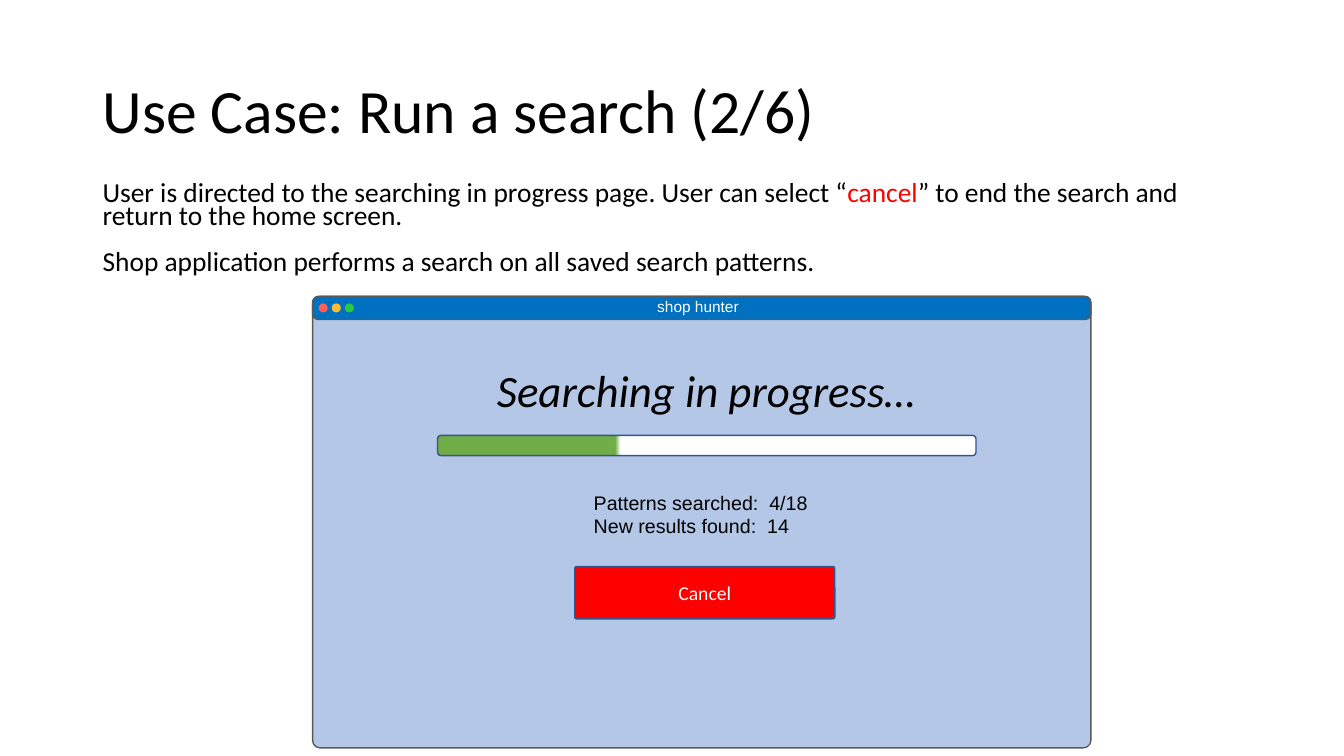
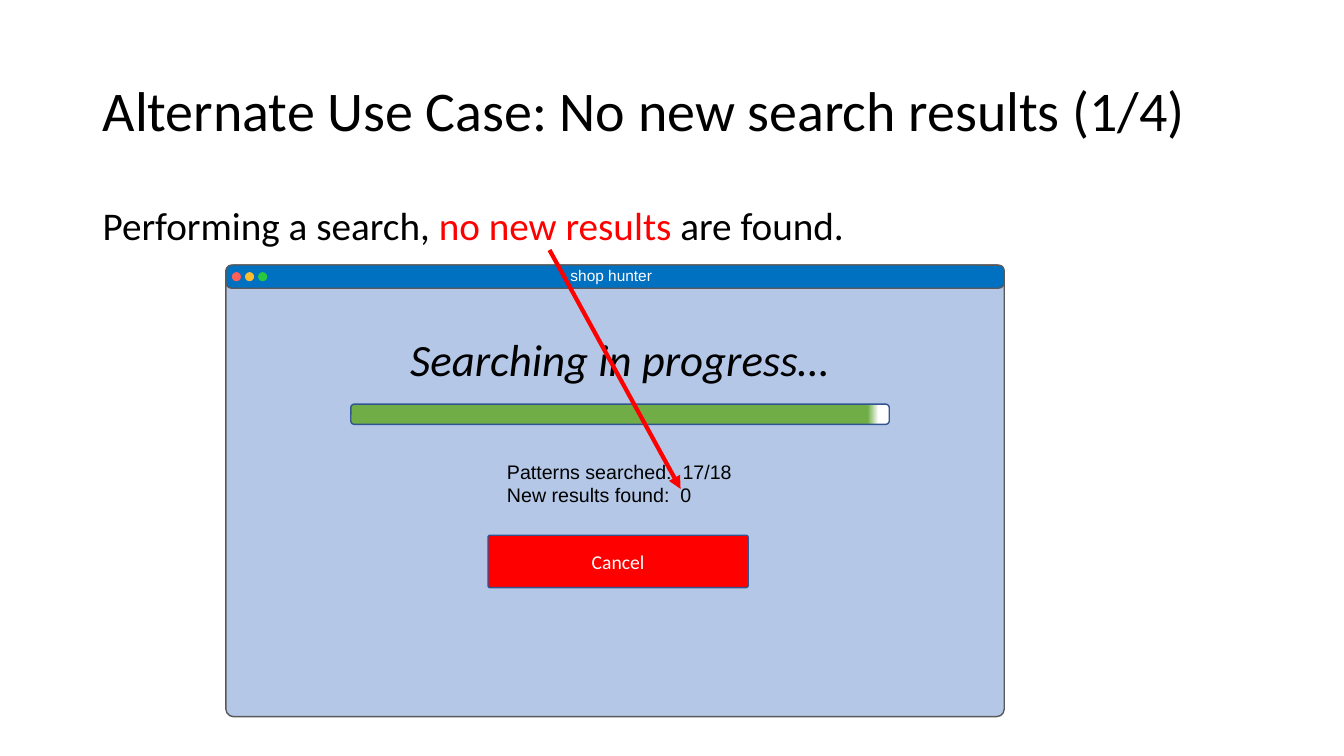
from dataclasses import dataclass

from lxml import etree
from pptx import Presentation
from pptx.dml.color import RGBColor
from pptx.enum import shapes, text
from pptx.oxml import ns
from pptx.util import Inches, Pt

COLORS = {
    "black": "000000", "white": "FFFFFF", "red": "FF0000",
    "window": "B4C7E7", "bar": "0070C0", "window_line": "595959",
    "control_line": "325491", "progress": "70AD47",
}
LIGHTS = ("FF5F57", "FFBC2E", "28C840")
APP_NAME = "shop hunter"
ROUND = shapes.MSO_SHAPE.ROUNDED_RECTANGLE
MIDDLE = text.MSO_ANCHOR.MIDDLE


@dataclass(frozen=True)
class Box:
    left: float
    top: float
    width: float
    height: float

    def lengths(self) -> tuple:
        return tuple(Inches(v) for v in (self.left, self.top, self.width, self.height))


@dataclass(frozen=True)
class Span:
    text: str
    color: str = "black"


@dataclass(frozen=True)
class Window:
    left: float
    top: float
    fade: tuple[int, int]
    searched: str
    found: int

    def box(self, dx: float, dy: float, width: float, height: float) -> Box:
        return Box(self.left + dx, self.top + dy, width, height)


@dataclass(frozen=True)
class Page:
    title: str
    title_size: float
    body_box: Box
    body: tuple[tuple[Span, ...], ...]
    body_size: float
    body_spacing: float
    window: Window
    arrow: tuple[float, float, float, float] | None = None


PAGES = (
    Page(
        "Use Case: Run a search (2/6)", 44, Box(0.92, 1.78, 11.5, 1.07),
        (
            (
                Span("User is directed to the searching in progress page. User can select “"),
                Span("cancel", "red"),
                Span("” to end the search and return to the home screen."),
            ),
            (Span("Shop application performs a search on all saved search patterns."),),
        ),
        19.6, 0.7, Window(3.1, 2.94, (33, 34), "4/18", 14),
    ),
    Page(
        "Alternate Use Case: No new search results (1/4)", 40, Box(0.92, 2, 11.5, 4.76),
        ((Span("Performing a search, "), Span("no new results", "red"), Span(" are found.")),),
        28, 0.9, Window(2.24, 2.63, (96, 98), "17/18", 0),
        (5.45, 2.48, 6.75, 4.85),
    ),
)


def rgb(name: str) -> RGBColor:
    return RGBColor.from_string(COLORS.get(name, name))


def write(tf, paragraphs, *, size: float, font: str = "Calibri", italic: bool = False,
          spacing: float = 1, before: float = 0, gap: float = 0,
          align=text.PP_ALIGN.LEFT, anchor=text.MSO_ANCHOR.TOP, wrap: bool = True) -> None:
    tf.word_wrap = wrap
    tf.vertical_anchor = anchor
    for i, spans in enumerate(paragraphs):
        p = tf.add_paragraph() if i else tf.paragraphs[0]
        p.alignment = align
        p.line_spacing = spacing
        p.space_before = Pt(gap if i else before)
        for span in spans:
            r = p.add_run()
            r.text = span.text
            r.font.size = Pt(size)
            r.font.name = font
            r.font.italic = italic
            r.font.color.rgb = rgb(span.color)


def add_text(parent, box: Box, paragraphs, **style) -> None:
    write(parent.add_textbox(*box.lengths()).text_frame, paragraphs, **style)


def add_shape(parent, kind, box: Box, fill: str, line: str | None = None,
              corner: float | None = None):
    sp = parent.add_shape(kind, *box.lengths())
    sp.shadow.inherit = False
    sp.fill.solid()
    sp.fill.fore_color.rgb = rgb(fill)
    if line:
        sp.line.color.rgb = rgb(line)
        sp.line.width = Pt(1)
    else:
        sp.line.fill.background()
    if corner is not None:
        sp.adjustments[0] = corner
    return sp


def add_progress(parent, box: Box, fade: tuple[int, int]) -> None:
    sp = add_shape(parent, ROUND, box, "white", "control_line")
    sp.fill.gradient()
    sp.fill.gradient_angle = 0
    for stop, percent, color in zip(sp.fill.gradient_stops, fade, ("progress", "white")):
        stop.position = percent / 100
        stop.color.rgb = rgb(color)


def add_window(s, w: Window) -> None:
    g = s.shapes.add_group_shape().shapes
    add_shape(g, ROUND, w.box(0, 0, 7.72, 4.48), "window", "window_line", 0.017)
    add_shape(g, ROUND, w.box(0, 0, 7.72, 0.23), "bar", "window_line", 0.248)
    for i, color in enumerate(LIGHTS):
        add_shape(g, shapes.MSO_SHAPE.OVAL, w.box(0.06 + 0.13 * i, 0.07, 0.09, 0.09), color)
    add_text(g, w.box(3.32, -0.04, 1.02, 0.29), [[Span(APP_NAME, "white")]],
             size=11, font="Arial", wrap=False)
    cancel = add_shape(g, ROUND, w.box(2.6, 2.68, 2.58, 0.52), "red", "control_line", 0.038)
    write(cancel.text_frame, [[Span("Cancel", "white")]], size=14,
          align=text.PP_ALIGN.CENTER, anchor=MIDDLE)
    add_text(g, w.box(1.73, 0.61, 4.4, 0.64), [[Span("Searching in progress…")]],
             size=32, italic=True, wrap=False)
    add_progress(g, w.box(1.24, 1.38, 5.34, 0.2), w.fade)
    stats = (f"Patterns searched:  {w.searched}", f"New results found:  {w.found}")
    add_text(g, w.box(2.69, 1.88, 2.5, 0.57), [[Span(line)] for line in stats],
             size=14, font="Arial")


def add_arrow(s, ends: tuple[float, float, float, float]) -> None:
    c = s.shapes.add_connector(shapes.MSO_CONNECTOR.STRAIGHT, *(Inches(v) for v in ends))
    c.line.color.rgb = rgb("red")
    c.line.width = Pt(3)
    etree.SubElement(c.line._get_or_add_ln(), ns.qn("a:tailEnd"), type="triangle")
    etree.SubElement(c._element.spPr, ns.qn("a:effectLst"))


def add_page(prs, page: Page) -> None:
    s = prs.slides.add_slide(prs.slide_layouts[6])
    add_text(s.shapes, Box(0.92, 0.4, 11.5, 1.45), [[Span(page.title)]],
             size=page.title_size, spacing=0.9, anchor=MIDDLE)
    add_text(s.shapes, page.body_box, page.body, size=page.body_size,
             spacing=page.body_spacing, before=10, gap=16.5)
    add_window(s, page.window)
    if page.arrow:
        add_arrow(s, page.arrow)


def main() -> None:
    prs = Presentation()
    prs.slide_width, prs.slide_height = Inches(13.33), Inches(7.5)
    for page in PAGES:
        add_page(prs, page)
    prs.save("out.pptx")


if __name__ == "__main__":
    main()
